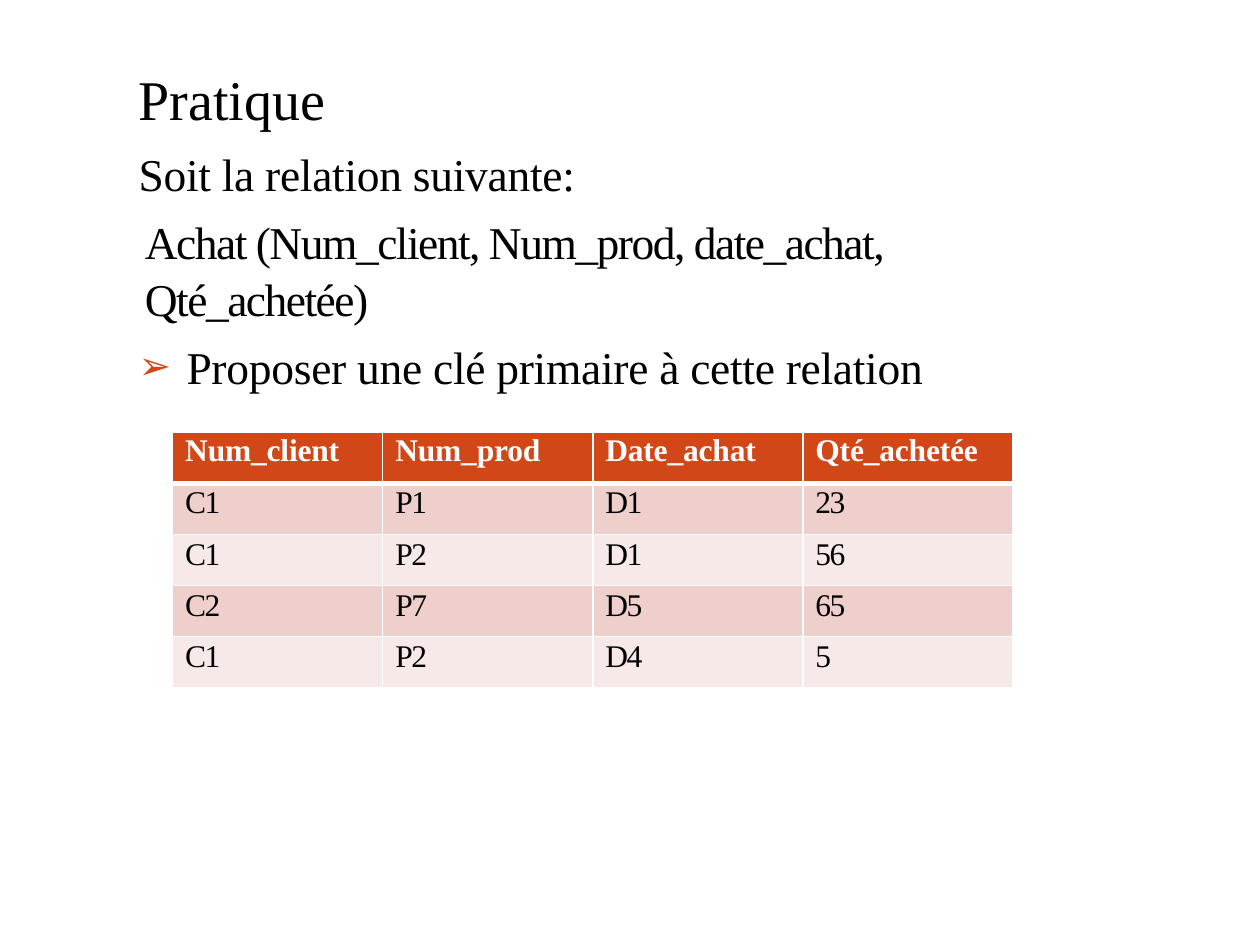
"""Build the slide "Pratique": a relation, a question and its sample table."""
from lxml import etree
from pptx import Presentation, util as u
from pptx.dml.color import RGBColor
from pptx.enum import text
from pptx.oxml import ns

COLORS = {"text": "000000", "white": "FFFFFF", "accent": "D24717",
          "odd": "EECFCC", "even": "F7E9E7"}
FONT = "Times New Roman"
BODY = [
    {"words": "Soit la relation suivante:", "spc": -17, "left": 0.01},
    {"words": "Achat (Num_client, Num_prod, date_achat, Qté_achetée)",
     "spc": -87, "left": 0.06, "before": 6},
    {"words": "Proposer une clé primaire à cette relation",
     "spc": -18, "left": 0.39, "hang": -0.38, "before": 6, "bullet": "➢"},
]
ROWS = [
    ["Num_client", "Num_prod", "Date_achat", "Qté_achetée"],
    ["C1", "P1", "D1", "23"],
    ["C1", "P2", "D1", "56"],
    ["C2", "P7", "D5", "65"],
    ["C1", "P2", "D4", "5"],
]


def rgb(name):
    """Return the named colour."""
    return RGBColor.from_string(COLORS[name])


def add_node(parent, tag, **attrs):
    """Append a drawing element with its attributes."""
    return etree.SubElement(parent, ns.qn(tag), {k: str(v) for k, v in attrs.items()})


def set_bullet(pPr, char):
    """Give a paragraph an accent bullet, or none."""
    if not char:
        add_node(pPr, "a:buNone")
        return
    add_node(add_node(pPr, "a:buClr"), "a:srgbClr", val=COLORS["accent"])
    add_node(pPr, "a:buSzPct", val=85000)
    add_node(pPr, "a:buChar", char=char)


def write(p, words, size, color="text", bold=False, spc=0, left=0, hang=0,
          before=0, bullet=None):
    """Write one formatted run into a paragraph."""
    pPr = p._p.get_or_add_pPr()
    pPr.set("marL", str(u.Inches(left)))
    pPr.set("indent", str(u.Inches(hang)))
    set_bullet(pPr, bullet)
    p.alignment = text.PP_ALIGN.LEFT
    p.space_before = u.Pt(before)
    r = p.add_run()
    r.text = words
    for key, value in {"name": FONT, "size": u.Pt(size), "bold": bold}.items():
        setattr(r.font, key, value)
    r.font.color.rgb = rgb(color)
    r._r.get_or_add_rPr().set("spc", str(spc))


def place(sp, box, top, right, anchor):
    """Move a placeholder and set up its text frame."""
    for key, value in zip(("left", "top", "width", "height"), box):
        setattr(sp, key, u.Inches(value))
    tf = sp.text_frame
    frame = {"margin_left": 0, "margin_top": u.Inches(top),
             "margin_right": u.Inches(right), "margin_bottom": 0,
             "word_wrap": True, "vertical_anchor": anchor,
             "auto_size": text.MSO_AUTO_SIZE.NONE}
    for key, value in frame.items():
        setattr(tf, key, value)
    return tf


def add_title(s):
    """Fill the title placeholder."""
    tf = place(s.shapes.title, (1.09, 0.49, 1.64, 0.56), 0.01, 0,
               text.MSO_ANCHOR.MIDDLE)
    write(tf.paragraphs[0], "Pratique", 32, left=0.01)


def add_body(s):
    """Fill the body placeholder."""
    tf = place(s.placeholders[1], (1.09, 1.04, 7.77, 1.58), 0.1, 0.3,
               text.MSO_ANCHOR.TOP)
    for i, item in enumerate(BODY):
        p = tf.add_paragraph() if i else tf.paragraphs[0]
        write(p, size=26, **item)
        p.line_spacing = 1.05


def set_borders(cell, row):
    """Draw white borders, thicker below the header."""
    widths = {"L": 1, "R": 1, "T": 3 if row == 1 else 1, "B": 3 if row == 0 else 1}
    for side, width in widths.items():
        ln = add_node(cell._tc.get_or_add_tcPr(), f"a:ln{side}", w=u.Pt(width))
        add_node(add_node(ln, "a:solidFill"), "a:srgbClr", val=COLORS["white"])


def add_relation(s):
    """Add the table of sample purchases."""
    table = s.shapes.add_table(len(ROWS), len(ROWS[0]), u.Inches(1.37), u.Inches(3.43),
                               u.Inches(6.67), u.Inches(2.03)).table
    for i, row in enumerate(ROWS):
        header = i == 0
        fill = "accent" if header else ("even", "odd")[i % 2]
        for j, words in enumerate(row):
            cell = table.cell(i, j)
            margins = {"left": 0, "right": 0, "bottom": 0,
                       "top": u.Inches(0.01 if header else 0.02)}
            for side, value in margins.items():
                setattr(cell, f"margin_{side}", value)
            set_borders(cell, i)
            cell.fill.solid()
            cell.fill.fore_color.rgb = rgb(fill)
            write(cell.text_frame.paragraphs[0], words, 18, left=0.1, bold=header,
                  color="white" if header else "text", spc=-10 if header else -90)


def main():
    """Build and save the presentation."""
    prs = Presentation()
    prs.slide_width, prs.slide_height = u.Inches(10), u.Inches(7.5)
    s = prs.slides.add_slide(prs.slide_layouts[1])
    add_title(s)
    add_body(s)
    add_relation(s)
    prs.save("out.pptx")


if __name__ == "__main__":
    main()
